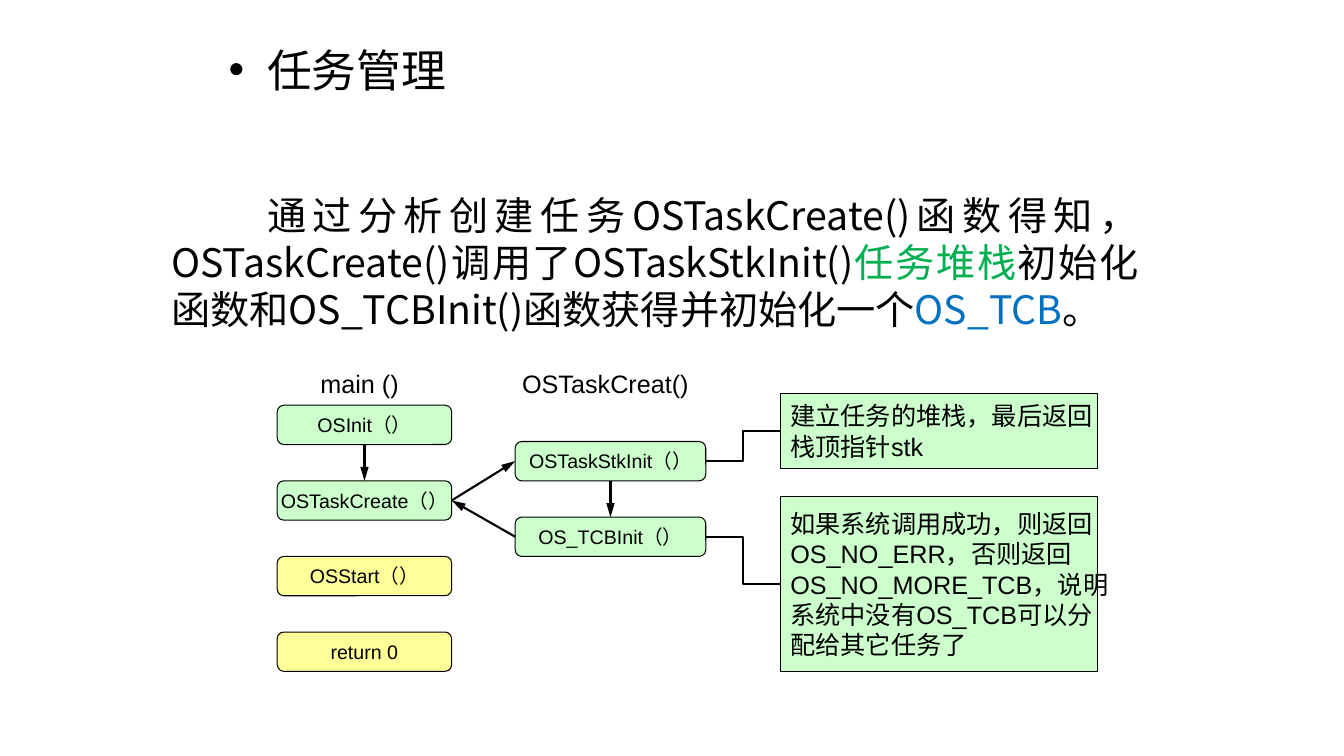
from dataclasses import dataclass

from lxml import etree
from pptx import Presentation
from pptx.dml.color import RGBColor
from pptx.enum.shapes import MSO_CONNECTOR as LINK, MSO_SHAPE as SHAPE
from pptx.enum.text import MSO_ANCHOR as ANCHOR, PP_ALIGN as ALIGN
from pptx.oxml.ns import qn
from pptx.util import Inches, Pt


@dataclass(frozen=True)
class Theme:
    ink: RGBColor = RGBColor(0x00, 0x00, 0x00)
    green: RGBColor = RGBColor(0xCC, 0xFF, 0xCC)
    yellow: RGBColor = RGBColor(0xFF, 0xFF, 0x99)
    stack: RGBColor = RGBColor(0x00, 0xB0, 0x50)
    tcb: RGBColor = RGBColor(0x00, 0x70, 0xC0)
    font: str = "Arial"
    body_font: str = "Noto Sans CJK JP"
    title: int = 32
    body: int = 28
    note: int = 18
    step: int = 14


theme = Theme()
prs = Presentation()
prs.slide_width, prs.slide_height = Inches(13.33), Inches(7.5)
slide = prs.slides.add_slide(prs.slide_layouts[6])
shapes = slide.shapes


def style_text(frame, size, align=ALIGN.LEFT, font=theme.font):
    for paragraph in frame.paragraphs:
        paragraph.alignment = align
        for run in paragraph.runs:
            run.font.size = Pt(size)
            run.font.name = font
            run.font.color.rgb = theme.ink


def add_box(kind, left, top, width, height, fill, text, size, align):
    box = shapes.add_shape(kind, Inches(left), Inches(top), Inches(width), Inches(height))
    box.shadow.inherit = False
    box.fill.solid()
    box.fill.fore_color.rgb = fill
    box.line.color.rgb = theme.ink
    box.line.width = Pt(0.75)
    frame = box.text_frame
    frame.text = text
    frame.word_wrap = False
    frame.vertical_anchor = ANCHOR.MIDDLE
    style_text(frame, size, align)
    return box


# Heading with bullet
heading = shapes.add_textbox(Inches(2.17), Inches(0.37), Inches(2.42), Inches(0.67)).text_frame
heading.word_wrap = True
heading.text = "任务管理"
style_text(heading, theme.title)
heading_format = heading.paragraphs[0]._p.get_or_add_pPr()
heading_format.set("marL", str(Inches(0.38)))
heading_format.set("indent", str(-Inches(0.38)))
etree.SubElement(heading_format, qn("a:buFont")).set("typeface", theme.font)
etree.SubElement(heading_format, qn("a:buChar")).set("char", "•")

# Explanation with two coloured terms
explanation = shapes.add_textbox(Inches(1.6), Inches(1.84), Inches(9.79), Inches(1.51)).text_frame
explanation.word_wrap = True
explanation.vertical_anchor = ANCHOR.MIDDLE
sentence = explanation.paragraphs[0]
parts = [
    ("通过分析创建任务OSTaskCreate()函数得知，OSTaskCreate()调用了OSTaskStkInit()", theme.ink),
    ("任务堆栈", theme.stack),
    ("初始化函数和OS_TCBInit()函数获得并初始化一个", theme.ink),
    ("OS_TCB", theme.tcb),
    ("。", theme.ink),
]
for words, _ in parts:
    sentence.add_run().text = words
style_text(explanation, theme.body, ALIGN.JUSTIFY, theme.body_font)
for run, (_, color) in zip(sentence.runs, parts):
    run.font.color.rgb = color
sentence._p.get_or_add_pPr().set("indent", str(Inches(0.95)))

# Column captions
for caption, left, width in [("main ()", 3.08, 1), ("OSTaskCreat()", 5.08, 1.92)]:
    frame = shapes.add_textbox(Inches(left), Inches(3.6), Inches(width), Inches(0.4)).text_frame
    frame.word_wrap = True
    frame.text = caption
    style_text(frame, theme.note)

# Function calls, one column per caller
columns = [
    (2.75, 4.02, 1.73, [("OSInit（）", theme.green), ("OSTaskCreate（）", theme.green),
                        ("OSStart（）", theme.yellow), ("return 0", theme.yellow)]),
    (5.11, 4.38, 1.89, [("OSTaskStkInit（）", theme.green), ("OS_TCBInit（）", theme.green)]),
]
main_steps, create_steps = [
    [add_box(SHAPE.ROUNDED_RECTANGLE, left, top + 0.75 * row, width, 0.39, fill, label,
             theme.step, ALIGN.CENTER)
     for row, (label, fill) in enumerate(steps)]
    for left, top, width, steps in columns
]
os_init, task_create = main_steps[:2]
stk_init, tcb_init = create_steps

# Notes on the results
stack_note = add_box(SHAPE.RECTANGLE, 7.74, 3.9, 3.15, 0.75, theme.green,
                     "建立任务的堆栈，最后返回\n栈顶指针stk", theme.note, ALIGN.LEFT)
tcb_note = add_box(SHAPE.RECTANGLE, 7.74, 4.93, 3.15, 1.73, theme.green,
                   "如果系统调用成功，则返回\nOS_NO_ERR，否则返回\nOS_NO_MORE_TCB，说明\n"
                   "系统中没有OS_TCB可以分\n配给其它任务了", theme.note, ALIGN.JUSTIFY)

# Connectors: sides are 0 top, 1 left, 2 bottom, 3 right
links = [
    (stk_init, 2, tcb_init, 0, LINK.STRAIGHT),
    (os_init, 2, task_create, 0, LINK.STRAIGHT),
    (task_create, 3, stk_init, 1, LINK.STRAIGHT),
    (tcb_init, 1, task_create, 3, LINK.STRAIGHT),
    (stk_init, 3, stack_note, 1, LINK.ELBOW),
    (tcb_init, 3, tcb_note, 1, LINK.ELBOW),
]
for source, source_side, target, target_side, kind in links:
    link = shapes.add_connector(kind, 0, 0, 0, 0)
    link.begin_connect(source, source_side)
    link.end_connect(target, target_side)
    link.line.color.rgb = theme.ink
    link.line.width = Pt(1.5)
    if kind == LINK.STRAIGHT:
        head = etree.SubElement(link.line._get_or_add_ln(), qn("a:tailEnd"))
        head.set("type", "triangle")
        head.set("len", "lg")
    etree.SubElement(link._element.spPr, qn("a:effectLst"))

prs.save("out.pptx")
